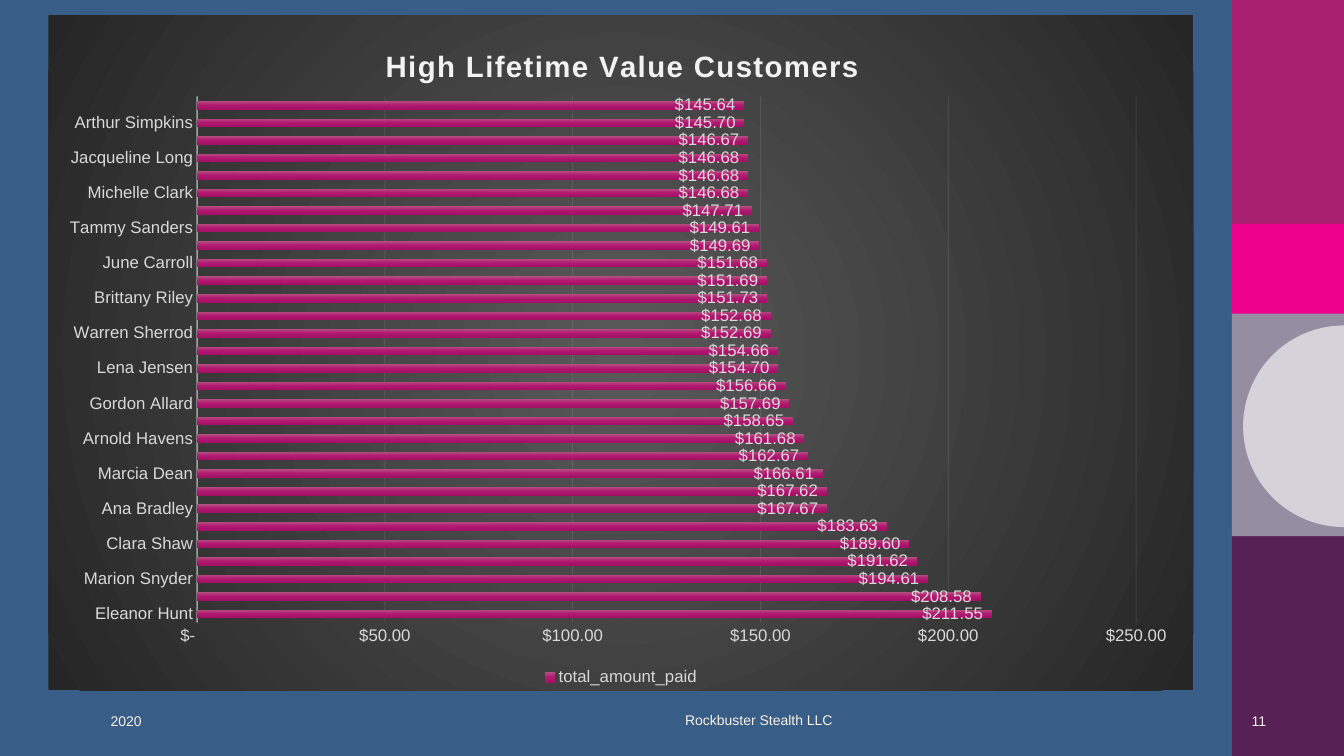
import math
from pptx import Presentation, oxml
from pptx import util as u
from pptx.chart.data import CategoryChartData
from pptx.dml.color import RGBColor
from pptx.enum import chart as ch, shapes, text
from pptx.oxml.ns import nsdecls, qn

BLUE = RGBColor(0x38, 0x5E, 0x88)
PLUM = RGBColor(0x58, 0x21, 0x56)
MAUVE = RGBColor(0x95, 0x8E, 0xA2)
BERRY = RGBColor(0xAA, 0x20, 0x70)
PINK = RGBColor(0xEC, 0x00, 0x8C)
MIST = RGBColor(0xD5, 0xD2, 0xDA)
CREAM = RGBColor(0xF8, 0xF0, 0xE3)
WHITE = RGBColor(0xF2, 0xF2, 0xF2)
GREY = RGBColor(0xD9, 0xD9, 0xD9)
ASH = RGBColor(0x59, 0x59, 0x59)
COAL = RGBColor(0x26, 0x26, 0x26)
ROSE = [RGBColor(0xB6, 0x4F, 0x81), RGBColor(0xB1, 0x19, 0x71), RGBColor(0xA3, 0x10, 0x65)]

MONEY = r'_("$"* #,##0.00_);_("$"* \(#,##0.00\);_("$"* "-"??_);_(@_)'
PAID = {
    "Eleanor Hunt": 211.55, "Karl Seal": 208.58, "Marion Snyder": 194.61,
    "Rhonda Kennedy": 191.62, "Clara Shaw": 189.60, "Tommy Collazo": 183.63,
    "Ana Bradley": 167.67, "Curtis Irby": 167.62, "Marcia Dean": 166.61,
    "Mike Way": 162.67, "Arnold Havens": 161.68, "Wesley Bull": 158.65,
    "Gordon Allard": 157.69, "Louis Leone": 156.66, "Lena Jensen": 154.70,
    "Tim Cary": 154.66, "Warren Sherrod": 152.69, "Steve Mackenzie": 152.68,
    "Brittany Riley": 151.73, "Guy Brownlee": 151.69, "June Carroll": 151.68,
    "Neil Renner": 149.69, "Tammy Sanders": 149.61, "Tonya Chapman": 147.71,
    "Michelle Clark": 146.68, "Jessica Hall": 146.68, "Jacqueline Long": 146.68,
    "Stacey Montgomery": 146.67, "Arthur Simpkins": 145.70, "Brandon Huey": 145.64,
}


def blend(cols, way):
    """Gradient fill with evenly spaced stops."""
    step = 100000 // (len(cols) - 1)
    stops = "".join(f'<a:gs pos="{i * step}"><a:srgbClr val="{c}"/></a:gs>'
                    for i, c in enumerate(cols))
    return f'<a:gradFill {nsdecls("a")}><a:gsLst>{stops}</a:gsLst>{way}</a:gradFill>'


def place(node, index, x, y, size=""):
    """Fixed layout, in fractions of the chart."""
    for old in node.findall(qn("c:layout")):
        node.remove(old)
    node.insert(index, oxml.parse_xml(
        f'<c:layout {nsdecls("c")}><c:manualLayout>'
        + ('<c:layoutTarget val="inner"/>' if size else "")
        + '<c:xMode val="edge"/><c:yMode val="edge"/>'
        f'<c:x val="{x}"/><c:y val="{y}"/>{size}</c:manualLayout></c:layout>'))


class Deck:
    font = "Arial"

    def __init__(self):
        self.prs = Presentation()
        self.prs.slide_width, self.prs.slide_height = u.Pt(960), u.Pt(540)
        self.slide = self.prs.slides.add_slide(self.prs.slide_layouts[6])
        back = self.slide.background.fill
        back.solid()
        back.fore_color.rgb = BLUE

    def paint(self, shape, color):
        shape.shadow.inherit = False
        shape.fill.solid()
        shape.fill.fore_color.rgb = color
        shape.line.fill.background()

    def block(self, x, y, w, h, color):
        box = self.slide.shapes.add_shape(
            shapes.MSO_SHAPE.RECTANGLE, u.Pt(x), u.Pt(y), u.Pt(w), u.Pt(h))
        self.paint(box, color)

    def half(self, x, y, r, color):
        """Left half of a disc centred on x, y."""
        arc = [math.radians(90 + 2 * i) for i in range(91)]
        dots = [(u.Pt(x + r * math.cos(a)), u.Pt(y - r * math.sin(a))) for a in arc]
        form = self.slide.shapes.build_freeform(*dots[0])
        form.add_line_segments(dots[1:], close=True)
        self.paint(form.convert_to_shape(), color)

    def style(self, font, size, color, bold=False):
        font.name, font.size, font.bold = self.font, u.Pt(size), bold
        font.color.rgb = color

    def label(self, x, y, w, words, align):
        frame = self.slide.shapes.add_textbox(u.Pt(x), u.Pt(y), u.Pt(w), u.Pt(29)).text_frame
        frame.word_wrap = True
        frame.vertical_anchor = text.MSO_ANCHOR.MIDDLE
        frame.text = words
        para = frame.paragraphs[0]
        para.alignment = align
        self.style(para.runs[0].font, 10, CREAM)

    def rule(self, line, width, alpha):
        line.width = u.Pt(width)
        line.color.rgb = WHITE
        tint = line._get_or_add_ln().find(".//" + qn("a:srgbClr"))
        tint.append(oxml.parse_xml(f'<a:alpha {nsdecls("a")} val="{alpha * 1000}"/>'))

    def bars(self, x, y, w, h, title, name, rows):
        data = CategoryChartData(number_format=MONEY)
        data.categories = list(rows)
        data.add_series(name, list(rows.values()))
        chart = self.slide.shapes.add_chart(
            ch.XL_CHART_TYPE.BAR_CLUSTERED, u.Pt(x), u.Pt(y), u.Pt(w), u.Pt(h), data).chart
        self.style(chart.font, 12, GREY)

        # Dark panel
        glow = blend([ASH, COAL], '<a:path path="circle"><a:fillToRect l="50000" t="50000" '
                                  'r="50000" b="50000"/></a:path>')
        root = chart._chartSpace
        root.find(qn("c:chart")).addnext(oxml.parse_xml(
            f'<c:spPr {nsdecls("c", "a")}>{glow}<a:ln><a:noFill/></a:ln></c:spPr>'))

        # Title and legend
        frame = chart.chart_title.text_frame
        frame.text = title
        run = frame.paragraphs[0].runs[0]
        self.style(run.font, 21, WHITE, True)
        run.font._element.set("spc", "100")
        chart.chart_title.include_in_layout = False
        place(chart.chart_title._element, 1, 0.29, 0.04)
        chart.has_legend = True
        chart.legend.position = ch.XL_LEGEND_POSITION.BOTTOM
        chart.legend.include_in_layout = False
        self.style(chart.legend.font, 12, GREY)

        # Axes
        place(root.find(".//" + qn("c:plotArea")), 0, 0.13, 0.12,
              '<c:w val="0.82"/><c:h val="0.78"/>')
        cat, val = chart.category_axis, chart.value_axis
        for axis in (cat, val):
            axis.major_tick_mark = axis.minor_tick_mark = ch.XL_TICK_MARK.NONE
            self.style(axis.tick_labels.font, 12, GREY)
        self.rule(cat.format.line, 1, 54)
        val.format.line.fill.background()
        val.minimum_scale, val.maximum_scale, val.major_unit = 0, 250, 50
        val.has_major_gridlines = True
        self.rule(val.major_gridlines.format.line, 0.75, 10)
        val.tick_labels.number_format = MONEY
        val.tick_labels.number_format_is_linked = False

        # Bars and values
        plot = chart.plots[0]
        plot.gap_width, plot.overlap, plot.vary_by_categories = 115, -20, False
        fill = blend(ROSE, '<a:lin ang="5400000" scaled="0"/>')
        plot.series[0]._element.get_or_add_spPr().insert(0, oxml.parse_xml(fill))
        tags = plot.series[0].data_labels
        tags.show_value = True
        tags.position = ch.XL_LABEL_POSITION.INSIDE_END
        tags.number_format, tags.number_format_is_linked = MONEY, False
        self.style(tags.font, 12, GREY)


def main():
    deck = Deck()

    # Side strip
    for top, tall, color in ((382, 158, PLUM), (223, 160, MAUVE),
                             (0, 160, BERRY), (160, 64, PINK)):
        deck.block(880, top, 80, tall, color)
    deck.half(960, 304.5, 72, MIST)

    # Footer
    align = text.PP_ALIGN
    deck.label(72, 500.5, 86, "2020", align.LEFT)
    deck.label(452, 500, 180, "Rockbuster Stealth LLC", align.CENTER)
    deck.label(875.5, 500.5, 36, "11", align.RIGHT)

    # Chart
    deck.bars(34.5, 11, 818, 482, "High Lifetime Value Customers", "total_amount_paid", PAID)
    deck.prs.save("out.pptx")


if __name__ == "__main__":
    main()
